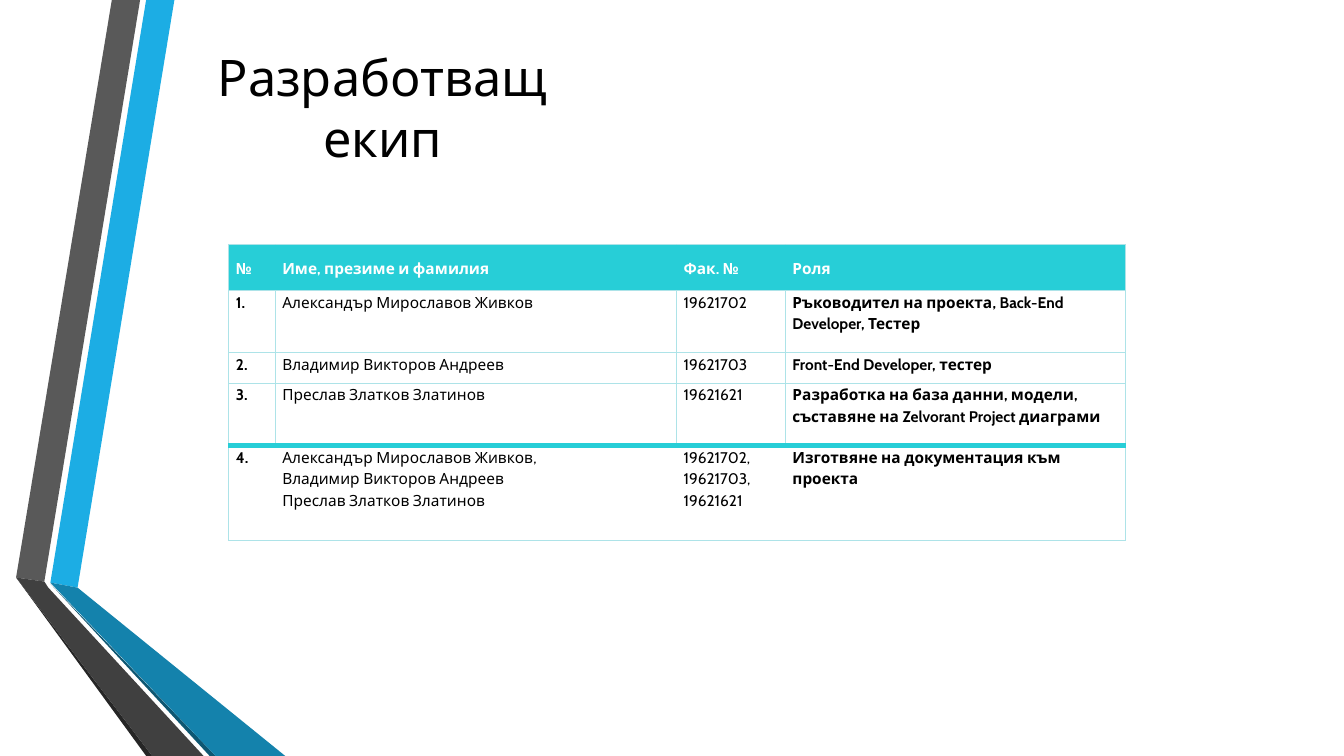
from dataclasses import dataclass

from lxml.etree import SubElement
from pptx import Presentation
from pptx.dml.color import RGBColor
from pptx.enum.text import MSO_ANCHOR, MSO_AUTO_SIZE, PP_ALIGN
from pptx.oxml.ns import qn
from pptx.util import Inches, Pt

FONT = "Cabin"
BLACK = RGBColor(0x00, 0x00, 0x00)
WHITE = RGBColor(0xFF, 0xFF, 0xFF)
TURQUOISE = RGBColor(0x27, 0xCE, 0xD7)
PALE = RGBColor(0xAD, 0xE3, 0xE8)
BLUE = RGBColor(0x1C, 0xAD, 0xE4)
MID_BLUE = RGBColor(0x14, 0x82, 0xAC)
DEEP_BLUE = RGBColor(0x0E, 0x57, 0x72)
GREY = RGBColor(0x59, 0x59, 0x59)
MID_GREY = RGBColor(0x40, 0x40, 0x40)
DARK_GREY = RGBColor(0x26, 0x26, 0x26)


@dataclass(frozen=True)
class Ribbon:
    color: RGBColor
    points: tuple


@dataclass(frozen=True)
class Border:
    color: RGBColor | None
    width: float = 0.75


RIBBONS = (
    Ribbon(BLUE, ((0.5, 5.78), (0.77, 5.83), (1.73, 0), (1.45, 0))),
    Ribbon(GREY, ((1.39, 0), (1.11, 0), (0.16, 5.73), (0.44, 5.77))),
    Ribbon(DARK_GREY, ((0.16, 5.73), (1.45, 7.5), (1.51, 7.5))),
    Ribbon(DEEP_BLUE, ((0.5, 5.79), (2.08, 7.5), (2.14, 7.5))),
    Ribbon(MID_BLUE, ((0.5, 5.78), (2.14, 7.5), (2.83, 7.5), (0.77, 5.83))),
    Ribbon(MID_GREY, ((2.02, 7.5), (0.48, 5.83), (0.44, 5.77), (0.16, 5.73), (1.51, 7.5))),
)

COLUMNS = (0.46, 3.98, 1.08, 3.37)
ROWS = (0.45, 0.62, 0.3, 0.62, 0.94)
TEAM = (
    ("№", "Име, презиме и фамилия", "Фак. №", "Роля"),
    ("1.", "Александър Мирославов Живков", "19621702",
     "Ръководител на проекта, Back-End Developer, Тестер"),
    ("2.", "Владимир Викторов Андреев", "19621703", "Front-End Developer, тестер"),
    ("3.", "Преслав Златков Златинов", "19621621",
     "Разработка на база данни, модели, съставяне на Zelvorant Project диаграми"),
    ("4.", "Александър Мирославов Живков,\nВладимир Викторов Андреев\nПреслав Златков Златинов",
     "19621702,\n19621703, 19621621", "Изготвяне на документация към проекта"),
)
LAST_ROW = len(ROWS) - 1
LAST_COLUMN = len(COLUMNS) - 1
THIN = Border(PALE)
THICK = Border(TURQUOISE, 4)


def set_attributes(target, values: dict) -> None:
    for name, value in values.items():
        setattr(target, name, value)


def format_font(font, size: float, color: RGBColor, bold: bool) -> None:
    set_attributes(font, {"name": FONT, "size": Pt(size), "bold": bold})
    font.color.rgb = color


def draw_ribbon(s, ribbon: Ribbon) -> None:
    start, *rest = [(Inches(x), Inches(y)) for x, y in ribbon.points]
    builder = s.shapes.build_freeform(*start)
    builder.add_line_segments(rest, close=True)
    sp = builder.convert_to_shape()
    sp.shadow.inherit = False
    sp.fill.solid()
    sp.fill.fore_color.rgb = ribbon.color
    sp.line.fill.background()


def add_title(s) -> None:
    sp = s.shapes.title
    set_attributes(sp, {"left": Inches(1.62), "top": Inches(0.65),
                        "width": Inches(4.35), "height": Inches(0.82)})
    tf = sp.text_frame
    tf.text = "Разработващ екип"
    set_attributes(tf, {"word_wrap": True, "auto_size": MSO_AUTO_SIZE.NONE,
                        "vertical_anchor": MSO_ANCHOR.MIDDLE})
    p = tf.paragraphs[0]
    p.alignment = PP_ALIGN.CENTER
    format_font(p.runs[0].font, 36, BLACK, False)


def vertical_border(row: int, edge: bool) -> Border:
    if edge or 0 < row < LAST_ROW:
        return THIN
    return Border(TURQUOISE if row == 0 else None)


def set_borders(cell, row: int, column: int) -> None:
    borders = {
        "a:lnL": vertical_border(row, column == 0),
        "a:lnR": vertical_border(row, column == LAST_COLUMN),
        "a:lnT": THICK if row == LAST_ROW else THIN,
        "a:lnB": THICK if row == LAST_ROW - 1 else THIN,
    }
    properties = cell._tc.get_or_add_tcPr()
    for tag, border in borders.items():
        line = SubElement(properties, qn(tag), w=str(Pt(border.width)))
        if border.color is None:
            SubElement(line, qn("a:noFill"))
        else:
            fill = SubElement(line, qn("a:solidFill"))
            SubElement(fill, qn("a:srgbClr"), val=str(border.color))


def fill_cell(cell, row: int, column: int, text: str) -> None:
    header = row == 0
    set_attributes(cell, {
        "text": text,
        "margin_left": Inches(0.07), "margin_right": Inches(0.07),
        "margin_top": 0, "margin_bottom": 0,
        "vertical_anchor": MSO_ANCHOR.MIDDLE if header else MSO_ANCHOR.TOP,
    })
    set_borders(cell, row, column)
    if header:
        cell.fill.solid()
        cell.fill.fore_color.rgb = TURQUOISE
    else:
        cell.fill.background()
    bold = header or column in (0, LAST_COLUMN)
    for p in cell.text_frame.paragraphs:
        p.line_spacing = 1.15
        for r in p.runs:
            format_font(r.font, 11, WHITE if header else BLACK, bold)


def add_team_table(s) -> None:
    table = s.shapes.add_table(len(ROWS), len(COLUMNS), Inches(2.27), Inches(2.43),
                               Inches(sum(COLUMNS)), Inches(sum(ROWS))).table
    set_attributes(table, {"first_row": False, "horz_banding": False})
    for column, width in zip(table.columns, COLUMNS):
        column.width = Inches(width)
    for row, height in zip(table.rows, ROWS):
        row.height = Inches(height)
    for i, texts in enumerate(TEAM):
        for j, text in enumerate(texts):
            fill_cell(table.cell(i, j), i, j, text)


def main() -> None:
    prs = Presentation()
    set_attributes(prs, {"slide_width": Inches(13.33), "slide_height": Inches(7.5)})
    s = prs.slides.add_slide(prs.slide_layouts[5])
    for ribbon in RIBBONS:
        draw_ribbon(s, ribbon)
    add_title(s)
    add_team_table(s)
    prs.save("out.pptx")


if __name__ == "__main__":
    main()
